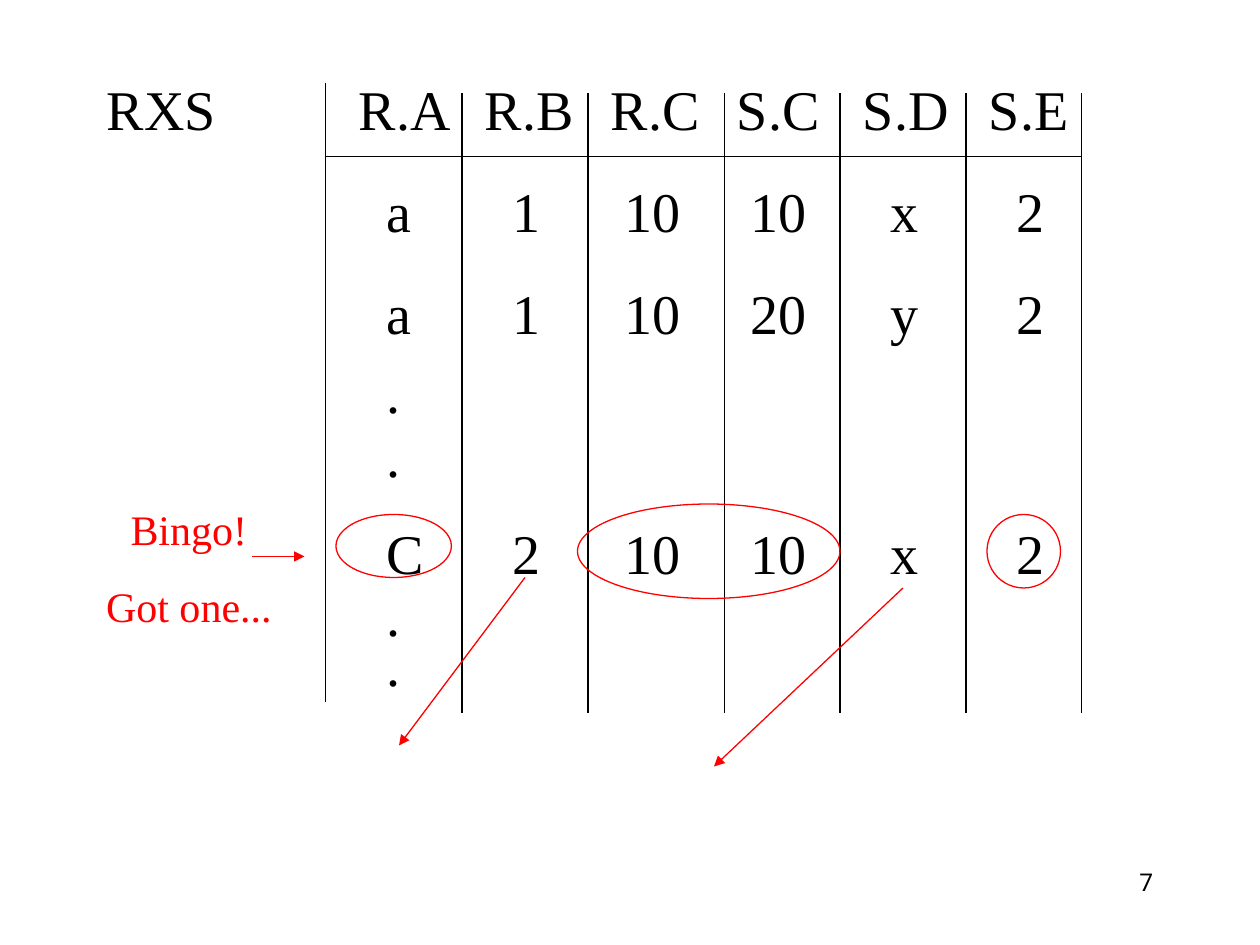
import pptx
import pptx.util
import pptx.dml.color
import pptx.enum.shapes
import pptx.enum.text
import pptx.oxml.ns
import lxml.etree

Pt = pptx.util.Pt
ALIGN = pptx.enum.text.PP_ALIGN
COLORS = {"ink": "000000", "mark": "FF0000"}
HEADER_STOPS = [144 + 72 * column for column in range(6)]
VALUE_STOPS = [stop + indent for stop, indent in zip(HEADER_STOPS, (16, 16, 8, 8, 16, 16))]
ROWS = [
    (["RXS", "R.A", "R.B", "R.C", "S.C", "S.D", "S.E"], 1),
    (["", "a", "1", "10", "10", "x", "2"], 1),
    (["", "a", "1", "10", "20", "y", "2"], 1),
    (["", "."], 0.6),
    (["", "."], 0.4),
    (["", "C", "2", "10", "10", "x", "2"], 1),
    (["", "."], 0.3),
    (["", "."], 0.2),
]


def color(name):
    """Return the named colour."""
    return pptx.dml.color.RGBColor.from_string(COLORS[name])


def add_child(parent, tag, **attributes):
    """Append a drawing element to a parent element."""
    return lxml.etree.SubElement(parent, pptx.oxml.ns.qn(tag), attributes)


def apply(target, formats):
    """Set each attribute named in a dict of format values."""
    for name, value in formats.items():
        setattr(target, name, value)


def add_text(slide, box, lines, size, ink, font="Times New Roman", wrap=True):
    """Write lines of (text, paragraph formats, tab stops) in a box."""
    frame = slide.shapes.add_textbox(*map(Pt, box)).text_frame
    apply(frame, {"word_wrap": wrap, "margin_top": Pt(3.6),
                  "auto_size": pptx.enum.text.MSO_AUTO_SIZE.NONE})
    for index, (text, formats, stops) in enumerate(lines):
        paragraph = frame.add_paragraph() if index else frame.paragraphs[0]
        apply(paragraph, formats)
        if stops:
            tab_list = add_child(paragraph._p.get_or_add_pPr(), "a:tabLst")
            for stop in stops:
                add_child(tab_list, "a:tab", pos=str(Pt(stop)), algn="l")
        run = paragraph.add_run()
        run.text = text
        apply(run.font, {"name": font, "size": Pt(size)})
        run.font.color.rgb = color(ink)


def add_line(slide, start, end, ink, arrow=False):
    """Draw a thin straight line, with an arrowhead at its end if asked."""
    line = slide.shapes.add_connector(
        pptx.enum.shapes.MSO_CONNECTOR.STRAIGHT, *map(Pt, (*start, *end)))
    line.line.color.rgb = color(ink)
    line.line.width = Pt(0.75)
    if arrow:
        add_child(line.line._get_or_add_ln(), "a:tailEnd", type="triangle")
    add_child(line._element.spPr, "a:effectLst")


def add_ring(slide, box):
    """Draw an unfilled ellipse around a value."""
    ring = slide.shapes.add_shape(pptx.enum.shapes.MSO_SHAPE.OVAL, *map(Pt, box))
    ring.shadow.inherit = False
    ring.fill.background()
    ring.line.color.rgb = color("mark")
    ring.line.width = Pt(0.75)


def add_product(slide, box):
    """Lay out the rows of the cross product and their rules."""
    left, top, width, height = box
    lines = []
    for index, (cells, spacing) in enumerate(ROWS):
        formats = {"line_spacing": spacing, "space_before": Pt(20 if index else 0)}
        lines.append(("\t".join(cells), formats, VALUE_STOPS if index else HEADER_STOPS))
    add_text(slide, box, lines, 32, "ink")
    add_line(slide, (left + 132, top + 50.4), (left + 564, top + 50.4), "ink")
    for index, x in enumerate((132, 210, 282, 360, 426, 498, 564)):
        rule_top = top + (14.4 if index else 8.4)
        add_line(slide, (left + x, rule_top), (left + x, rule_top + 354), "ink")


def add_match(slide, box):
    """Mark the matching row with rings, arrows and a remark."""
    left, top, width, height = box
    for x, y, ring_width, ring_height in (
            (510.6, 9.6, 42, 42), (276.6, 3.6, 150, 54), (138.6, 9.6, 66, 36)):
        add_ring(slide, (left + x, top + y, ring_width, ring_height))
    for start, end in (((246.6, 45.6), (174.6, 141.6)),
                       ((462.6, 51.6), (354.6, 153.6)),
                       ((90.6, 33.6), (120.6, 33.6))):
        add_line(slide, (left + start[0], top + start[1]),
                 (left + end[0], top + end[1]), "mark", arrow=True)
    remark = [("Bingo!", {"alignment": ALIGN.CENTER}, None),
              ("Got one...", {"alignment": ALIGN.CENTER, "space_before": Pt(15)}, None)]
    add_text(slide, (left, top, 109, 80), remark, 24, "mark", wrap=False)


def add_page_number(slide, box):
    """Write the page number at the right of its box."""
    add_text(slide, box, [("7", {"alignment": ALIGN.RIGHT}, None)], 14, "ink", font="Roboto")


def main():
    """Build the slide and save it."""
    deck = pptx.Presentation()
    apply(deck, {"slide_width": Pt(720), "slide_height": Pt(540)})
    slide = deck.slides.add_slide(deck.slide_layouts[6])
    add_page_number(slide, (516, 492, 150, 36))
    add_product(slide, (54, 38.9, 588, 358.6))
    add_match(slide, (53.4, 284.4, 552.6, 153.6))
    deck.save("out.pptx")


if __name__ == "__main__":
    main()
